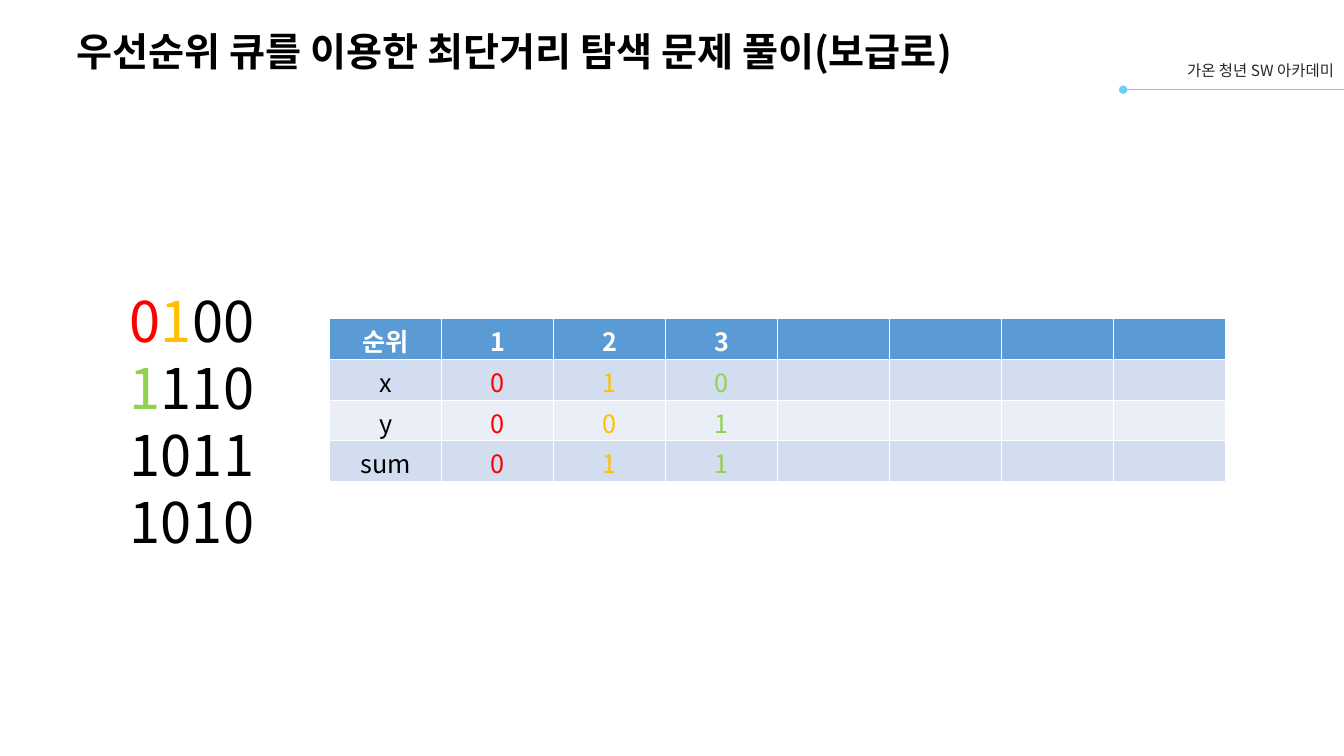
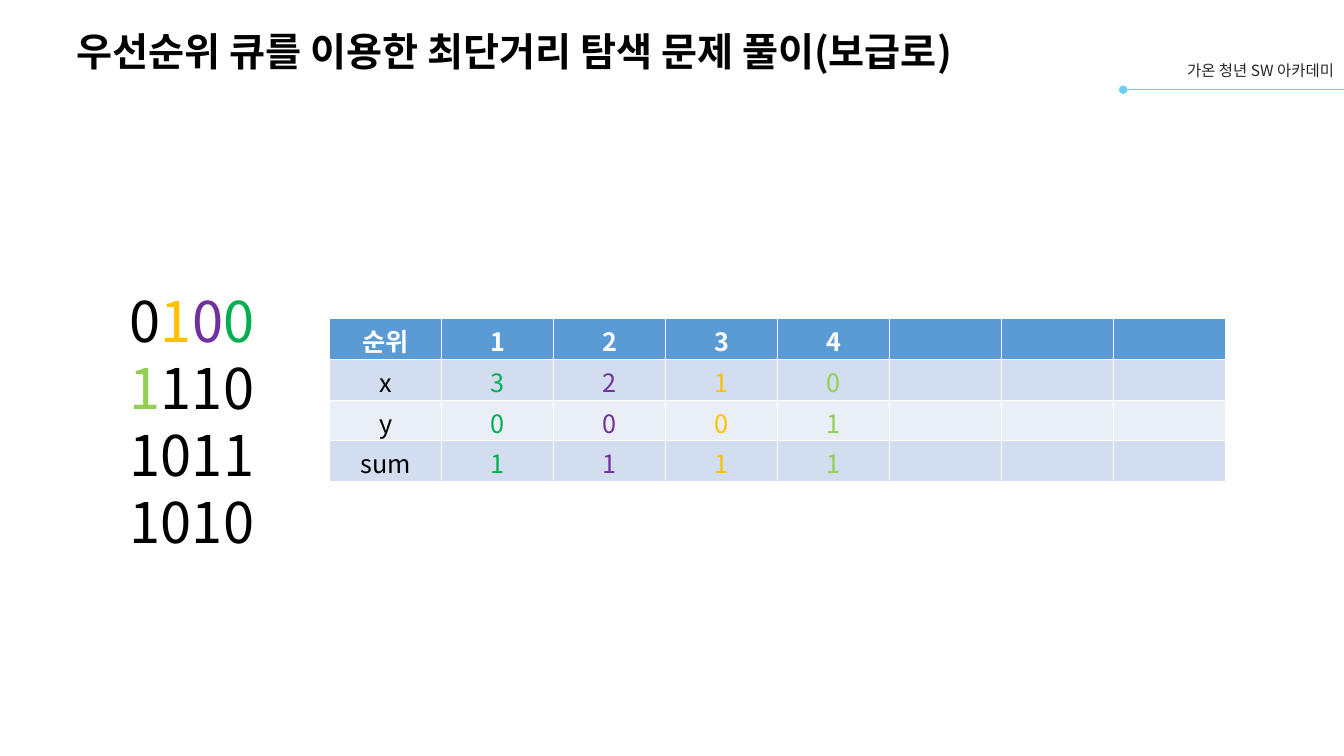
from itertools import groupby

from lxml import etree
from pptx import Presentation
from pptx.dml.color import RGBColor
from pptx.enum.shapes import MSO_CONNECTOR
from pptx.enum.text import MSO_ANCHOR, PP_ALIGN
from pptx.oxml.ns import qn
from pptx.util import Inches, Pt

STRAIGHT = MSO_CONNECTOR.STRAIGHT
MIDDLE = MSO_ANCHOR.MIDDLE
LEFT, CENTER, RIGHT = PP_ALIGN.LEFT, PP_ALIGN.CENTER, PP_ALIGN.RIGHT

# Content: each queue entry is (x, y, sum, colour name)
TITLE = "우선순위 큐를 이용한 최단거리 탐색 문제 풀이(보급로)"
ACADEMY = "가온 청년 SW 아카데미"
GRID = ["0100", "1110", "1011", "1010"]
ROW_LABELS = ["순위", "x", "y", "sum"]
COLUMN_COUNT = 8
QUEUES = [
    [(0, 0, 0, "red"), (1, 0, 1, "amber"), (0, 1, 1, "lime")],
    [(3, 0, 1, "green"), (2, 0, 1, "purple"), (1, 0, 1, "amber"), (0, 1, 1, "lime")],
]


class Theme:
    font = "Noto Sans CJK KR"
    title_size, grid_size, table_size, academy_size = Pt(28), Pt(40), Pt(18), Pt(11)
    grid_line, table_line = Pt(48), Pt(21.5)
    colors = {
        name: RGBColor.from_string(value)
        for name, value in {
            "black": "000000", "white": "FFFFFF", "grey": "262626",
            "rule": "6DCEF5", "header": "5B9BD5", "band": "D2DEEF",
            "light": "EAEFF7", "red": "FF0000", "amber": "FFC000",
            "lime": "92D050", "green": "00B050", "purple": "7030A0",
        }.items()
    }


def style(para, size, color="black", bold=False, align=LEFT, line=None):
    para.alignment = align
    if line:
        para.line_spacing = line
    font = para.font
    font.name, font.size, font.bold = Theme.font, size, bold
    font.color.rgb = Theme.colors[color]
    # Hangul takes the East Asian typeface
    defaults = para._p.pPr.find(qn("a:defRPr"))
    etree.SubElement(defaults, qn("a:ea"), typeface=Theme.font)


def add_box(page, left, top, width, height):
    box = page.shapes.add_textbox(Inches(left), Inches(top), Inches(width), Inches(height))
    box.text_frame.word_wrap = True
    return box.text_frame


def add_frame(page):
    """Title, academy name and rule shared by every slide."""
    rule = page.shapes.add_connector(
        STRAIGHT, Inches(11.14), Inches(0.89), Inches(13.33), Inches(0.89))
    rule.line.color.rgb = Theme.colors["rule"]
    rule.line.width = Pt(1)
    properties = rule.element.spPr
    etree.SubElement(properties.find(qn("a:ln")), qn("a:headEnd"), type="oval")
    etree.SubElement(properties, qn("a:effectLst"))

    academy = add_box(page, 11.13, 0.56, 2.2, 0.29).paragraphs[0]
    academy.text = ACADEMY
    style(academy, Theme.academy_size, "grey", align=RIGHT)

    frame = add_box(page, 0.66, 0.14, 11.5, 0.72)
    frame.vertical_anchor = MIDDLE
    frame.paragraphs[0].text = TITLE
    style(frame.paragraphs[0], Theme.title_size, bold=True)


def add_grid(page, queue):
    """Map digits, with the queued positions in their entry's colour."""
    marks = {(x, y): color for x, y, _, color in queue}
    frame = add_box(page, 1.19, 2.74, 1.55, 2.79)
    frame.margin_top = Inches(0.1)
    for y, digits in enumerate(GRID):
        para = frame.add_paragraph() if y else frame.paragraphs[0]
        style(para, Theme.grid_size, line=Theme.grid_line)
        colored = [(marks.get((x, y), "black"), digit) for x, digit in enumerate(digits)]
        for color, group in groupby(colored, key=lambda pair: pair[0]):
            span = para.add_run()
            span.text = "".join(digit for _, digit in group)
            span.font.color.rgb = Theme.colors[color]


def add_queue(page, queue):
    """Ranked entries, one column each."""
    columns = [(ROW_LABELS, "black")]
    columns += [((rank, *entry[:3]), entry[3]) for rank, entry in enumerate(queue, 1)]
    columns += [([""] * len(ROW_LABELS), "black")] * (COLUMN_COUNT - len(columns))
    table = page.shapes.add_table(
        len(ROW_LABELS), COLUMN_COUNT,
        Inches(3.27), Inches(3.16), Inches(8.89), Inches(1.62)).table
    for c, (values, color) in enumerate(columns):
        for r, value in enumerate(values):
            header = r == 0
            cell = table.cell(r, c)
            cell.margin_top, cell.margin_bottom = Inches(0.1), 0
            cell.fill.solid()
            fill = "header" if header else "band" if r % 2 else "light"
            cell.fill.fore_color.rgb = Theme.colors[fill]
            para = cell.text_frame.paragraphs[0]
            if value != "":
                para.text = str(value)
            style(para, Theme.table_size, "white" if header else color,
                  header, CENTER, Theme.table_line)


def main():
    deck = Presentation()
    deck.slide_width, deck.slide_height = Inches(13.33), Inches(7.5)
    for queue in QUEUES:
        page = deck.slides.add_slide(deck.slide_layouts[6])
        add_frame(page)
        add_grid(page, queue)
        add_queue(page, queue)
    deck.save("out.pptx")


if __name__ == "__main__":
    main()
